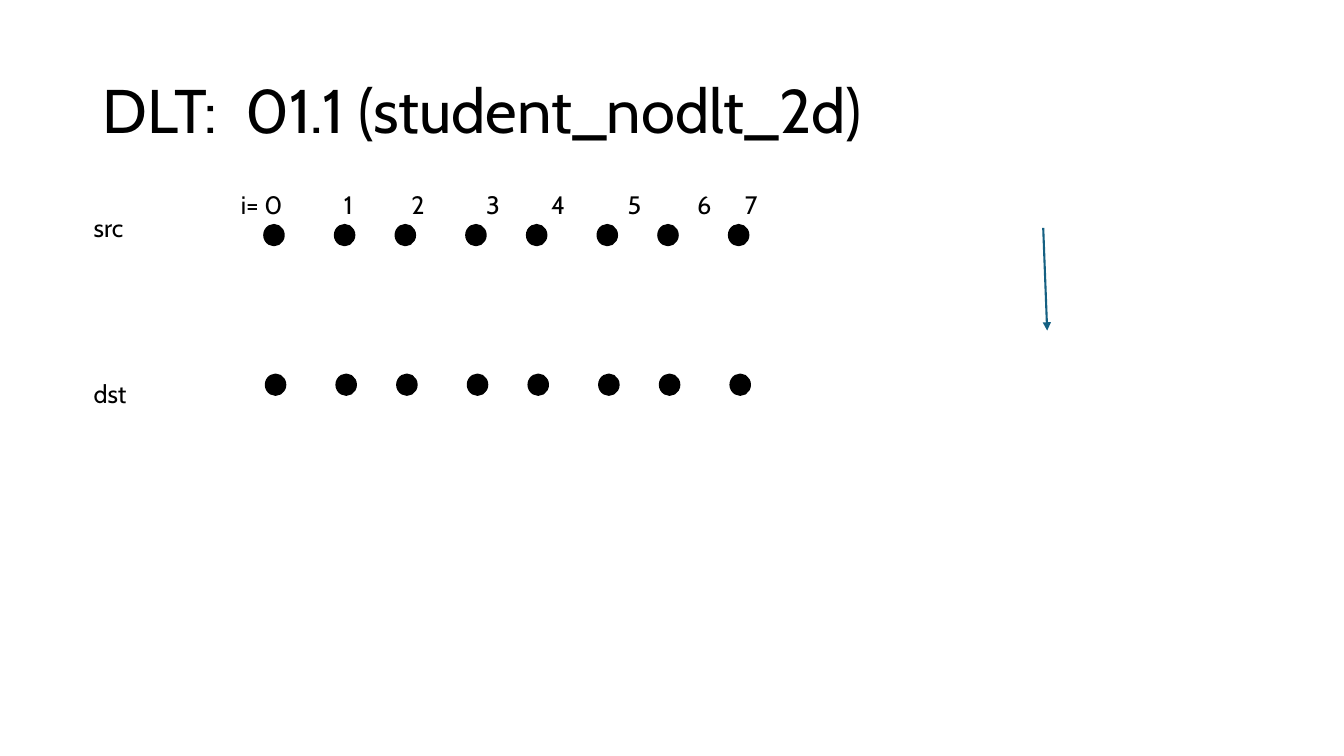
import pptx
import pptx.util
import pptx.dml.color
import pptx.enum.shapes
import pptx.enum.text
import pptx.oxml
import pptx.oxml.ns
from pptx.util import Cm

FONT = "Cabin"
BLACK = "000000"
BLUE = "156082"
DOTS = 8
PAIR = 3.31  # cm from one pair of dots to the next
GAP = 1.78  # cm between the dots of a pair
TABS = (2.6, 4.3, 6.18, 7.82, 9.75, 11.5, 12.7)


def color(code):
    return pptx.dml.color.RGBColor.from_string(code)


def add_run(para, text, size):
    run = para.add_run()
    run.text = text
    run.font.name = FONT
    run.font.size = pptx.util.Pt(size)
    run.font.color.rgb = color(BLACK)


def add_title(slide, text):
    title = slide.shapes.title
    title.left, title.top = Cm(2.33), Cm(1.01)
    title.width, title.height = Cm(29.21), Cm(3.68)
    frame = title.text_frame
    frame.auto_size = pptx.enum.text.MSO_AUTO_SIZE.NONE
    frame.vertical_anchor = pptx.enum.text.MSO_ANCHOR.MIDDLE
    para = frame.paragraphs[0]
    para.alignment = pptx.enum.text.PP_ALIGN.LEFT
    para.line_spacing = 0.9
    add_run(para, text, 44)


def add_label(slide, text, left, top, width):
    box = slide.shapes.add_textbox(Cm(left), Cm(top), Cm(width), Cm(1.03))
    frame = box.text_frame
    frame.word_wrap = True
    frame.auto_size = pptx.enum.text.MSO_AUTO_SIZE.SHAPE_TO_FIT_TEXT
    para = frame.paragraphs[0]
    add_run(para, text, 18)
    return para


def set_tabs(para, stops):
    """Put left tab stops, in cm, on a paragraph."""
    marks = "".join(f'<a:tab pos="{int(Cm(stop))}" algn="l"/>' for stop in stops)
    names = pptx.oxml.ns.nsdecls("a")
    tabs = pptx.oxml.parse_xml(f"<a:tabLst {names}>{marks}</a:tabLst>")
    para._p.get_or_add_pPr().append(tabs)


def add_dots(slide, left, top):
    """Draw one row of dots, spaced in pairs."""
    oval = pptx.enum.shapes.MSO_SHAPE.OVAL
    for index in range(DOTS):
        pair, side = divmod(index, 2)
        x = left + pair * PAIR + side * GAP
        dot = slide.shapes.add_shape(oval, Cm(x), Cm(top), Cm(0.49), Cm(0.51))
        dot.shadow.inherit = False
        dot.fill.solid()
        dot.fill.fore_color.rgb = color(BLACK)
        dot.line.color.rgb = color(BLACK)
        dot.line.width = pptx.util.Pt(1.5)


def add_arrow(slide, start, end):
    kind = pptx.enum.shapes.MSO_CONNECTOR.STRAIGHT
    points = [Cm(value) for value in start + end]
    arrow = slide.shapes.add_connector(kind, *points)
    arrow.line.color.rgb = color(BLUE)
    arrow.line.width = pptx.util.Pt(1.5)
    names = pptx.oxml.ns.nsdecls("a")
    head = pptx.oxml.parse_xml(f'<a:tailEnd {names} type="triangle"/>')
    arrow.line._get_or_add_ln().append(head)
    flat = pptx.oxml.parse_xml(f"<a:effectLst {names}/>")
    arrow._element.spPr.append(flat)


def main():
    deck = pptx.Presentation()
    deck.slide_width, deck.slide_height = Cm(33.87), Cm(19.05)
    slide = deck.slides.add_slide(deck.slide_layouts[5])
    add_title(slide, "DLT:  01.1 (student_nodlt_2d)")
    add_dots(slide, 6.66, 5.67)
    add_dots(slide, 6.7, 9.44)
    add_arrow(slide, (26.29, 5.74), (26.39, 8.33))
    add_label(slide, "src", 2.11, 5.23, 2.06)
    add_label(slide, "dst", 2.11, 9.42, 2.06)
    count = "\t".join(str(index) for index in range(DOTS))
    para = add_label(slide, "i= " + count, 5.82, 4.65, 13.64)
    set_tabs(para, TABS)
    deck.save("out.pptx")


if __name__ == "__main__":
    main()
